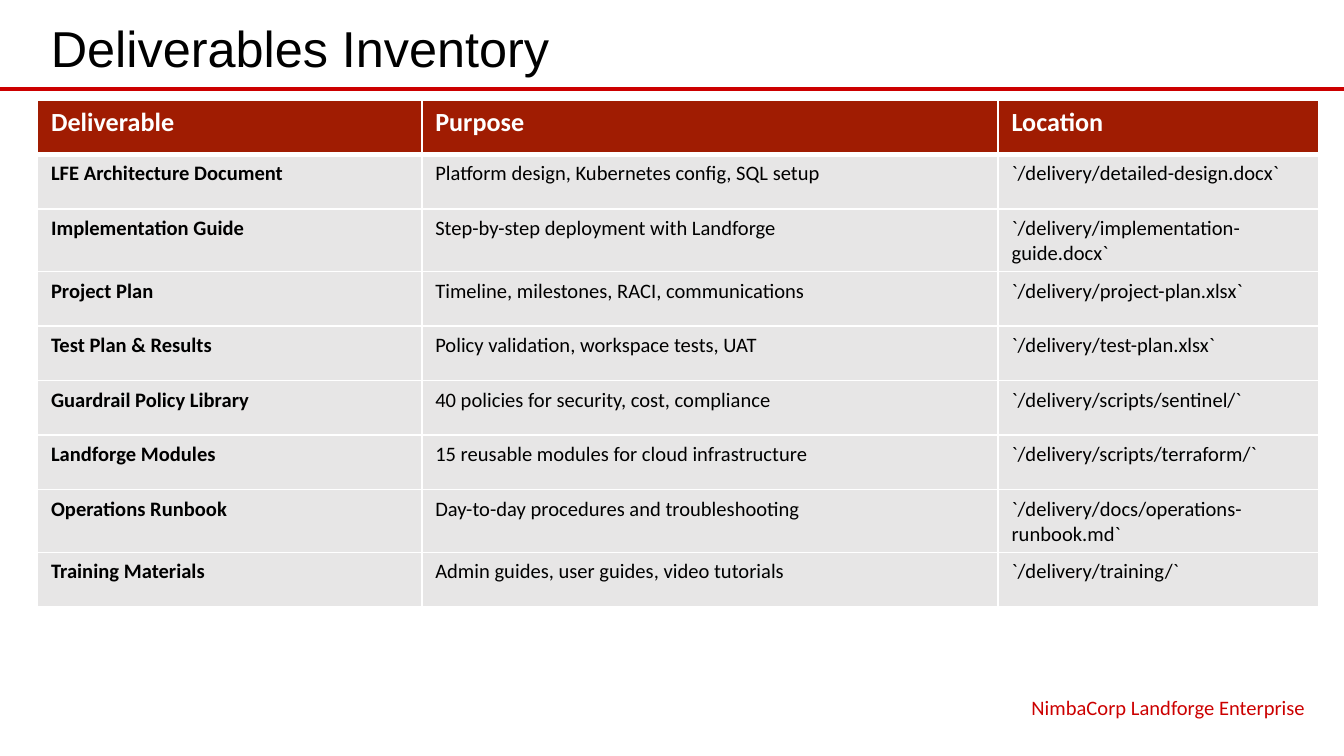
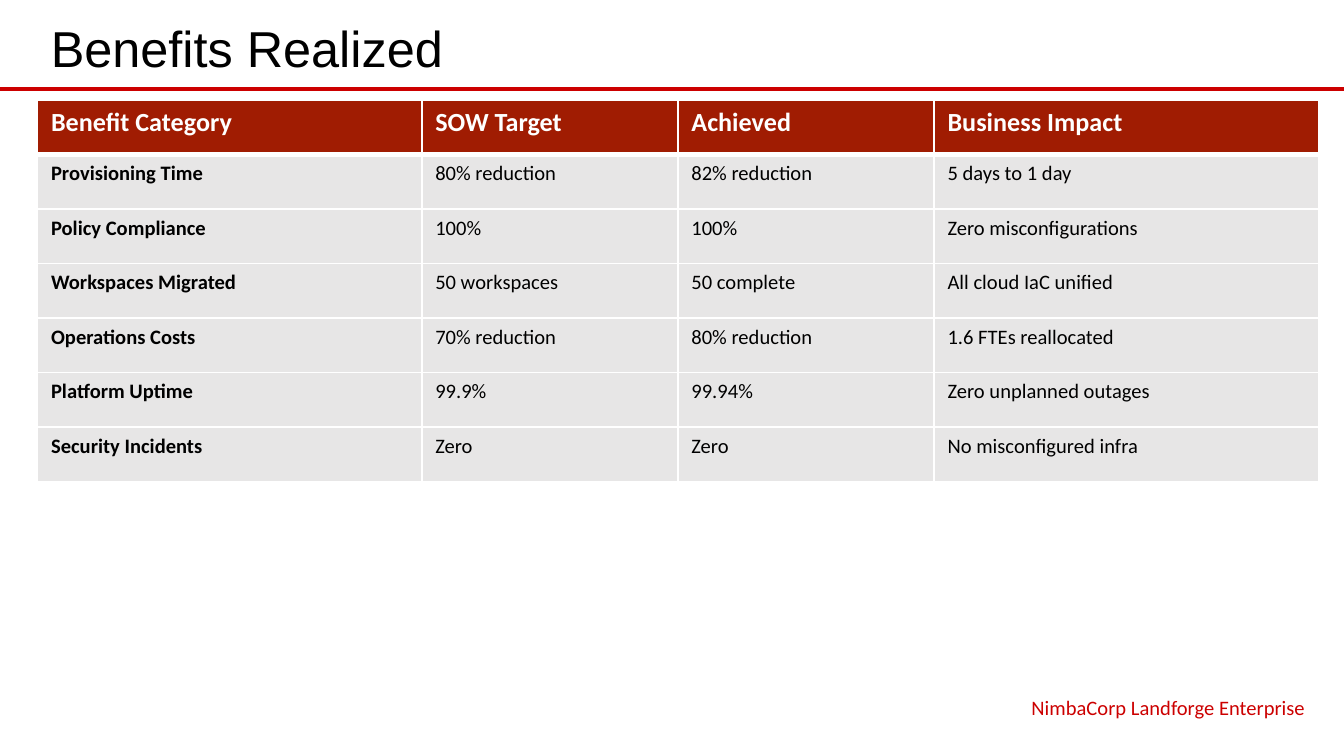
from dataclasses import dataclass
from typing import Any

from lxml import etree
from pptx import Presentation
from pptx.dml.color import RGBColor
from pptx.enum.shapes import MSO_CONNECTOR
from pptx.enum.text import MSO_ANCHOR, PP_ALIGN
from pptx.oxml.ns import qn
from pptx.util import Pt

STRAIGHT = MSO_CONNECTOR.STRAIGHT
TOP = MSO_ANCHOR.TOP
LEFT = PP_ALIGN.LEFT
RIGHT = PP_ALIGN.RIGHT

RED = "CC0000"
HEADER_RED = "A01C02"
BODY_GRAY = "E7E6E6"
BLACK = "000000"
WHITE = "FFFFFF"

SLIDE_WIDTH, SLIDE_HEIGHT = 720, 405
CONTENT_LEFT, CONTENT_WIDTH = 20.16, 686.16
RULE_Y = 47.6
TABLE_TOP, ROW_HEIGHT = 53.5, 29.2
FOOTER = "NimbaCorp Landforge Enterprise"


@dataclass(frozen=True)
class TextStyle:
    size: float
    color: str
    font: str = "Calibri"
    bold: bool = False
    align: Any = LEFT


@dataclass(frozen=True)
class TextArea:
    left: float
    top: float
    width: float
    height: float
    top_inset: float
    style: TextStyle


@dataclass(frozen=True)
class TableSlide:
    title: str
    column_shares: tuple[float, ...]
    rows: tuple[tuple[str, ...], ...]


TITLE_AREA = TextArea(CONTENT_LEFT, 2.9, CONTENT_WIDTH, 41.8, 6.5, TextStyle(27, BLACK, "Arial"))
FOOTER_AREA = TextArea(452.9, 368.6, 253.4, 18.7, 3.6, TextStyle(11, RED, align=RIGHT))
HEADER_STYLE = TextStyle(14, WHITE, bold=True)
LABEL_STYLE = TextStyle(11, BLACK, bold=True)
DETAIL_STYLE = TextStyle(11, BLACK)

SLIDES = (
    TableSlide(
        "Deliverables Inventory",
        (0.3, 0.45, 0.25),
        (
            ("Deliverable", "Purpose", "Location"),
            ("LFE Architecture Document", "Platform design, Kubernetes config, SQL setup",
             "`/delivery/detailed-design.docx`"),
            ("Implementation Guide", "Step-by-step deployment with Landforge",
             "`/delivery/implementation-guide.docx`"),
            ("Project Plan", "Timeline, milestones, RACI, communications",
             "`/delivery/project-plan.xlsx`"),
            ("Test Plan & Results", "Policy validation, workspace tests, UAT",
             "`/delivery/test-plan.xlsx`"),
            ("Guardrail Policy Library", "40 policies for security, cost, compliance",
             "`/delivery/scripts/sentinel/`"),
            ("Landforge Modules", "15 reusable modules for cloud infrastructure",
             "`/delivery/scripts/terraform/`"),
            ("Operations Runbook", "Day-to-day procedures and troubleshooting",
             "`/delivery/docs/operations-runbook.md`"),
            ("Training Materials", "Admin guides, user guides, video tutorials",
             "`/delivery/training/`"),
        ),
    ),
    TableSlide(
        "Benefits Realized",
        (0.3, 0.2, 0.2, 0.3),
        (
            ("Benefit Category", "SOW Target", "Achieved", "Business Impact"),
            ("Provisioning Time", "80% reduction", "82% reduction", "5 days to 1 day"),
            ("Policy Compliance", "100%", "100%", "Zero misconfigurations"),
            ("Workspaces Migrated", "50 workspaces", "50 complete", "All cloud IaC unified"),
            ("Operations Costs", "70% reduction", "80% reduction", "1.6 FTEs reallocated"),
            ("Platform Uptime", "99.9%", "99.94%", "Zero unplanned outages"),
            ("Security Incidents", "Zero", "Zero", "No misconfigured infra"),
        ),
    ),
)


def rgb(value: str) -> RGBColor:
    return RGBColor.from_string(value)


def apply_format(target: Any, values: dict[str, Any]) -> None:
    for attribute, value in values.items():
        setattr(target, attribute, value)


def write_text(frame: Any, text: str, style: TextStyle) -> None:
    paragraph = frame.paragraphs[0]
    paragraph.alignment = style.align
    run = paragraph.add_run()
    run.text = text
    apply_format(run.font, {"name": style.font, "size": Pt(style.size), "bold": style.bold})
    run.font.color.rgb = rgb(style.color)


def draw_text(slide: Any, area: TextArea, text: str) -> None:
    box = slide.shapes.add_textbox(Pt(area.left), Pt(area.top), Pt(area.width), Pt(area.height))
    apply_format(box.text_frame, {
        "word_wrap": True,
        "vertical_anchor": TOP,
        "margin_top": Pt(area.top_inset),
    })
    write_text(box.text_frame, text, area.style)


def draw_rule(slide: Any) -> None:
    rule = slide.shapes.add_connector(STRAIGHT, Pt(0), Pt(RULE_Y), Pt(SLIDE_WIDTH), Pt(RULE_Y))
    rule.line.color.rgb = rgb(RED)
    rule.line.width = Pt(2.25)
    etree.SubElement(rule._element.spPr, qn("a:effectLst"))


def set_borders(cell: Any, widths: dict[str, float]) -> None:
    properties = cell._tc.get_or_add_tcPr()
    for position, (side, width) in enumerate(widths.items()):
        border = etree.Element(qn(f"a:{side}"), w=str(Pt(width)))
        fill = etree.SubElement(border, qn("a:solidFill"))
        etree.SubElement(fill, qn("a:srgbClr"), val=WHITE)
        properties.insert(position, border)


def draw_table(slide: Any, content: TableSlide) -> None:
    row_count, column_count = len(content.rows), len(content.column_shares)
    table = slide.shapes.add_table(
        row_count, column_count, Pt(CONTENT_LEFT), Pt(TABLE_TOP),
        Pt(CONTENT_WIDTH), Pt(ROW_HEIGHT * row_count),
    ).table
    apply_format(table, {"first_row": False, "horz_banding": False})
    for column, share in zip(table.columns, content.column_shares):
        column.width = Pt(CONTENT_WIDTH * share)
    for row_index, texts in enumerate(content.rows):
        table.rows[row_index].height = Pt(ROW_HEIGHT)
        is_header = row_index == 0
        top_width = 3 if row_index == 1 else 1
        bottom_width = 3 if is_header else 1
        for column_index, text in enumerate(texts):
            cell = table.cell(row_index, column_index)
            body_style = LABEL_STYLE if column_index == 0 else DETAIL_STYLE
            write_text(cell.text_frame, text, HEADER_STYLE if is_header else body_style)
            cell.vertical_anchor = TOP
            cell.fill.solid()
            cell.fill.fore_color.rgb = rgb(HEADER_RED if is_header else BODY_GRAY)
            set_borders(cell, {"lnL": 1, "lnR": 1, "lnT": top_width, "lnB": bottom_width})


def main() -> None:
    deck = Presentation()
    apply_format(deck, {"slide_width": Pt(SLIDE_WIDTH), "slide_height": Pt(SLIDE_HEIGHT)})
    for content in SLIDES:
        slide = deck.slides.add_slide(deck.slide_layouts[6])
        draw_rule(slide)
        draw_text(slide, TITLE_AREA, content.title)
        draw_table(slide, content)
        draw_text(slide, FOOTER_AREA, FOOTER)
    deck.save("out.pptx")


if __name__ == "__main__":
    main()
